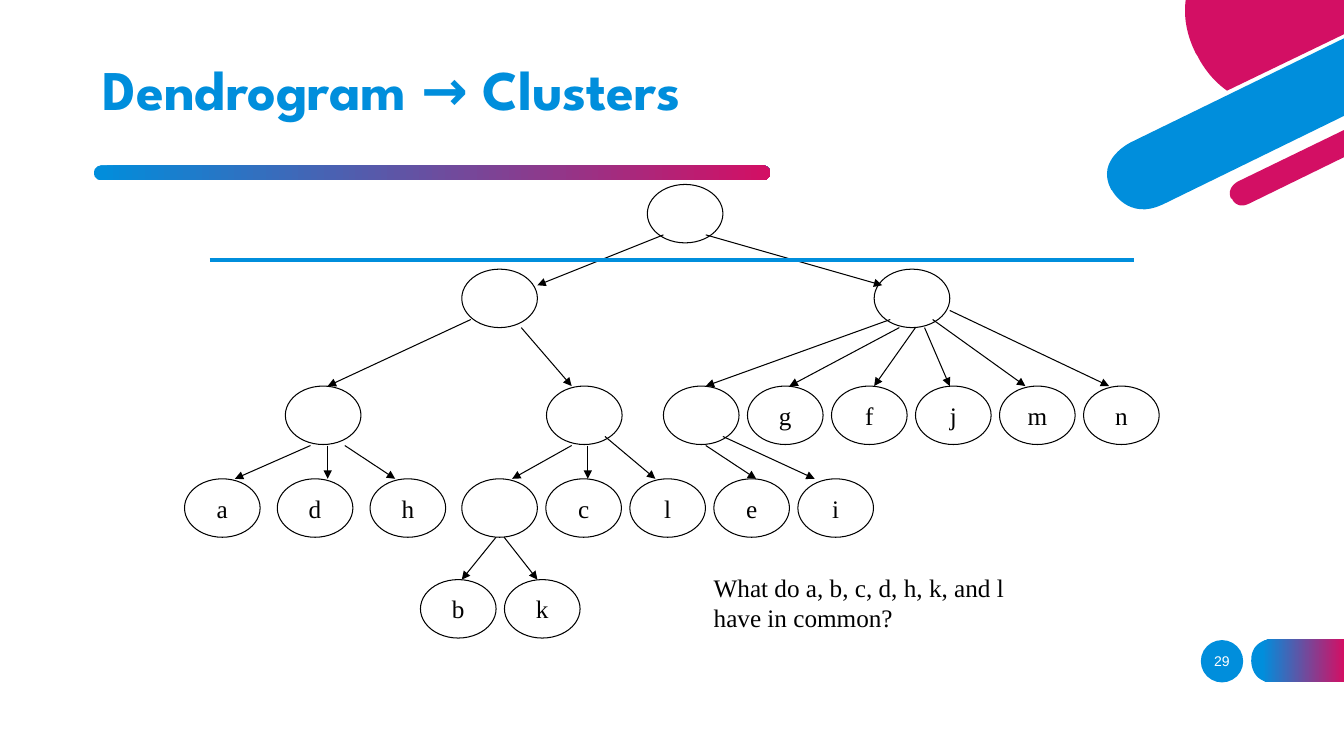
from dataclasses import dataclass

from lxml import etree
from pptx import Presentation
from pptx.dml.color import RGBColor
from pptx.enum.shapes import MSO_CONNECTOR, MSO_SHAPE
from pptx.enum.text import MSO_ANCHOR, MSO_AUTO_SIZE, PP_ALIGN
from pptx.oxml.ns import qn
from pptx.shapes.autoshape import Shape
from pptx.shapes.connector import Connector
from pptx.slide import Slide
from pptx.text.text import TextFrame
from pptx.util import Inches, Pt

BLUE = RGBColor(0x00, 0x8E, 0xDC)
MAGENTA = RGBColor(0xD3, 0x0F, 0x64)
WHITE = RGBColor(0xFF, 0xFF, 0xFF)
BLACK = RGBColor(0x00, 0x00, 0x00)

OVAL = MSO_SHAPE.OVAL
ROUNDED = MSO_SHAPE.ROUNDED_RECTANGLE
STRAIGHT = MSO_CONNECTOR.STRAIGHT
MIDDLE = MSO_ANCHOR.MIDDLE
CENTER = PP_ALIGN.CENTER
LEFT = PP_ALIGN.LEFT
FIT_SHAPE = MSO_AUTO_SIZE.SHAPE_TO_FIT_TEXT

TITLE_FONT = {"name": "League Spartan", "size": Pt(40), "bold": True}
BODY_FONT = {"name": "Times New Roman", "size": Pt(18)}
NUMBER_FONT = {"name": "Arial", "size": Pt(10)}

NODE_WIDTH, NODE_HEIGHT = 0.75, 0.58
NARROW_PITCH, WIDE_PITCH = 5 / 6, 0.92
CURVE_STEPS = 16

Point = tuple[float, float]


@dataclass
class NodeRun:
    """Evenly spaced tree nodes; a blank in labels is an inner node."""
    left: float
    top: float
    labels: str
    pitch: float = NARROW_PITCH


@dataclass
class ArrowFan:
    """Arrows from one parent as (start x, start y, end x), ending level."""
    end_y: float
    arrows: list[tuple[float, float, float]]


@dataclass
class Outline:
    """Closed outline; a step of one point is a line, of three a Bezier curve."""
    start: Point
    steps: list[list[Point]]


NODE_RUNS = [
    NodeRun(6.42, 1.83, " "),
    NodeRun(4.58, 2.67, " "),
    NodeRun(8.67, 2.67, " "),
    NodeRun(2.83, 3.83, " "),
    NodeRun(5.42, 3.83, " "),
    NodeRun(6.58, 3.83, " gfjmn"),
    NodeRun(1.83, 4.75, "adh", WIDE_PITCH),
    NodeRun(4.58, 4.75, " clei"),
    NodeRun(4.17, 5.75, "bk"),
]

ARROW_FANS = [
    ArrowFan(2.83, [(6.58, 2.33, 5.33), (7, 2.33, 8.75)]),
    ArrowFan(3.83, [(4.67, 3.17, 3.25), (5.17, 3.25, 5.67)]),
    ArrowFan(3.83, [(8.83, 3.17, 7), (8.92, 3.25, 7.83), (9.08, 3.25, 8.67),
                    (9.17, 3.25, 9.42), (9.25, 3.17, 10.17), (9.42, 3.08, 11)]),
    ArrowFan(4.75, [(3.08, 4.42, 2.33), (3.25, 4.42, 3.25), (3.42, 4.42, 3.92)]),
    ArrowFan(4.75, [(5.67, 4.42, 5.08), (5.83, 4.42, 5.83), (6, 4.33, 6.5)]),
    ArrowFan(4.75, [(7, 4.42, 7.5), (7.17, 4.33, 8.08)]),
    ArrowFan(5.75, [(4.92, 5.33, 4.58), (5, 5.33, 5.33)]),
]

PAGE_TAB = Outline((13.33, 6.77), [
    [(13.33, 6.34)], [(12.62, 6.34)],
    [(12.62, 6.34), (12.41, 6.34), (12.41, 6.55)], [(12.41, 6.56)],
    [(12.41, 6.56), (12.41, 6.77), (12.62, 6.77)]])
BLUE_BAND = Outline((11.22, 1.41), [
    [(11.22, 1.41), (10.86, 1.58), (11.02, 1.88)], [(11.03, 1.89)],
    [(11.03, 1.89), (11.19, 2.19), (11.53, 2.03)],
    [(13.33, 1.15)], [(13.33, 0.38)]])
MAGENTA_DISC = Outline((11.88, 0.56), [
    [(11.88, 0.56), (11.97, 0.76), (12.17, 0.9)],
    [(13.33, 0.34)], [(13.33, 0)], [(11.76, 0)],
    [(11.74, 0.15), (11.76, 0.33), (11.86, 0.53)]])
MAGENTA_BAND = Outline((13.33, 1.29), [
    [(12.28, 1.8)], [(12.28, 1.8), (12.16, 1.86), (12.21, 1.97)],
    [(12.22, 1.97)], [(12.22, 1.98), (12.27, 2.08), (12.39, 2.02)],
    [(13.33, 1.56)]])


def fill_plain(shape: Shape, colour: RGBColor) -> None:
    shape.shadow.inherit = False
    shape.line.fill.background()
    shape.fill.solid()
    shape.fill.fore_color.rgb = colour


def fill_gradient(shape: Shape, first_position: float) -> None:
    shape.shadow.inherit = False
    shape.line.fill.background()
    shape.fill.gradient()
    shape.fill.gradient_angle = 0
    stops = zip(shape.fill.gradient_stops, (BLUE, MAGENTA), (first_position, 1))
    for stop, colour, position in stops:
        stop.color.rgb = colour
        stop.position = position


def write_text(frame: TextFrame, lines: list[str], font_format: dict,
               colour: RGBColor, alignment: PP_ALIGN) -> None:
    for index, line in enumerate(lines):
        paragraph = frame.add_paragraph() if index else frame.paragraphs[0]
        paragraph.text = line
        paragraph.alignment = alignment
        for name, value in font_format.items():
            setattr(paragraph.font, name, value)
        paragraph.font.color.rgb = colour


def add_outline(slide: Slide, outline: Outline) -> Shape:
    points = [outline.start]
    for step in outline.steps:
        if len(step) == 1:
            points += step
            continue
        corners = [points[-1], *step]
        for index in range(1, CURVE_STEPS + 1):
            t = index / CURVE_STEPS
            weights = ((1 - t) ** 3, 3 * t * (1 - t) ** 2, 3 * t * t * (1 - t), t ** 3)
            x, y = (sum(weight * corner[axis] for weight, corner in zip(weights, corners))
                    for axis in (0, 1))
            points.append((x, y))
    vertices = [(Inches(x), Inches(y)) for x, y in points]
    builder = slide.shapes.build_freeform(*vertices[0])
    builder.add_line_segments(vertices[1:], close=True)
    return builder.convert_to_shape()


def add_line(slide: Slide, start: Point, end: Point, colour: RGBColor,
             width: float) -> Connector:
    ends = [Inches(length) for length in (*start, *end)]
    connector = slide.shapes.add_connector(STRAIGHT, *ends)
    connector.line.color.rgb = colour
    connector.line.width = Pt(width)
    etree.SubElement(connector._element.spPr, qn("a:effectLst"))
    return connector


def add_arrow(slide: Slide, start: Point, end: Point) -> None:
    connector = add_line(slide, start, end, BLACK, 0.75)
    outline = connector._element.spPr.find(qn("a:ln"))
    etree.SubElement(outline, qn("a:tailEnd"), type="triangle")


def add_node(slide: Slide, left: float, top: float, label: str) -> None:
    node = slide.shapes.add_shape(OVAL, Inches(left), Inches(top),
                                  Inches(NODE_WIDTH), Inches(NODE_HEIGHT))
    node.shadow.inherit = False
    node.fill.background()
    node.line.color.rgb = BLACK
    node.line.width = Pt(0.75)
    if label.strip():
        node.text_frame.word_wrap = False
        node.text_frame.vertical_anchor = MIDDLE
        write_text(node.text_frame, [label], BODY_FONT, BLACK, CENTER)


def add_decoration(slide: Slide) -> None:
    for outline, colour in ((BLUE_BAND, BLUE), (MAGENTA_DISC, MAGENTA),
                            (MAGENTA_BAND, MAGENTA)):
        fill_plain(add_outline(slide, outline), colour)
    fill_gradient(add_outline(slide, PAGE_TAB), 0.12)
    title_bar = slide.shapes.add_shape(ROUNDED, Inches(0.93), Inches(1.64),
                                       Inches(6.71), Inches(0.15))
    title_bar.adjustments[0] = 0.5
    fill_gradient(title_bar, 0)
    number_disc = slide.shapes.add_shape(OVAL, Inches(11.91), Inches(6.35),
                                         Inches(0.42), Inches(0.42))
    fill_plain(number_disc, BLUE)
    number = slide.shapes.add_textbox(Inches(11.82), Inches(6.36), Inches(0.6), Inches(0.4))
    number.text_frame.word_wrap = True
    number.text_frame.vertical_anchor = MIDDLE
    write_text(number.text_frame, ["29"], NUMBER_FONT, WHITE, CENTER)


def main() -> None:
    presentation = Presentation()
    presentation.slide_width, presentation.slide_height = Inches(13.33), Inches(7.5)
    slide = presentation.slides.add_slide(presentation.slide_layouts[5])
    add_decoration(slide)

    title = slide.shapes.title
    title.left, title.top = Inches(0.92), Inches(0.4)
    title.width, title.height = Inches(9.9), Inches(1.03)
    title.text_frame.vertical_anchor = MIDDLE
    write_text(title.text_frame, ["Dendrogram → Clusters"], TITLE_FONT, BLUE, LEFT)
    title.text_frame.paragraphs[0].line_spacing = 0.9

    for run in NODE_RUNS:
        for index, label in enumerate(run.labels):
            add_node(slide, run.left + index * run.pitch, run.top, label)
    for fan in ARROW_FANS:
        for start_x, start_y, end_x in fan.arrows:
            add_arrow(slide, (start_x, start_y), (end_x, fan.end_y))
    add_line(slide, (2.08, 2.58), (11.25, 2.58), BLUE, 3)

    question = slide.shapes.add_textbox(Inches(6.98), Inches(5.63), Inches(3.11), Inches(0.71))
    question.text_frame.word_wrap = False
    question.text_frame.auto_size = FIT_SHAPE
    write_text(question.text_frame, ["What do a, b, c, d, h, k, and l", "have in common?"],
               BODY_FONT, BLACK, LEFT)
    presentation.save("out.pptx")


if __name__ == "__main__":
    main()
